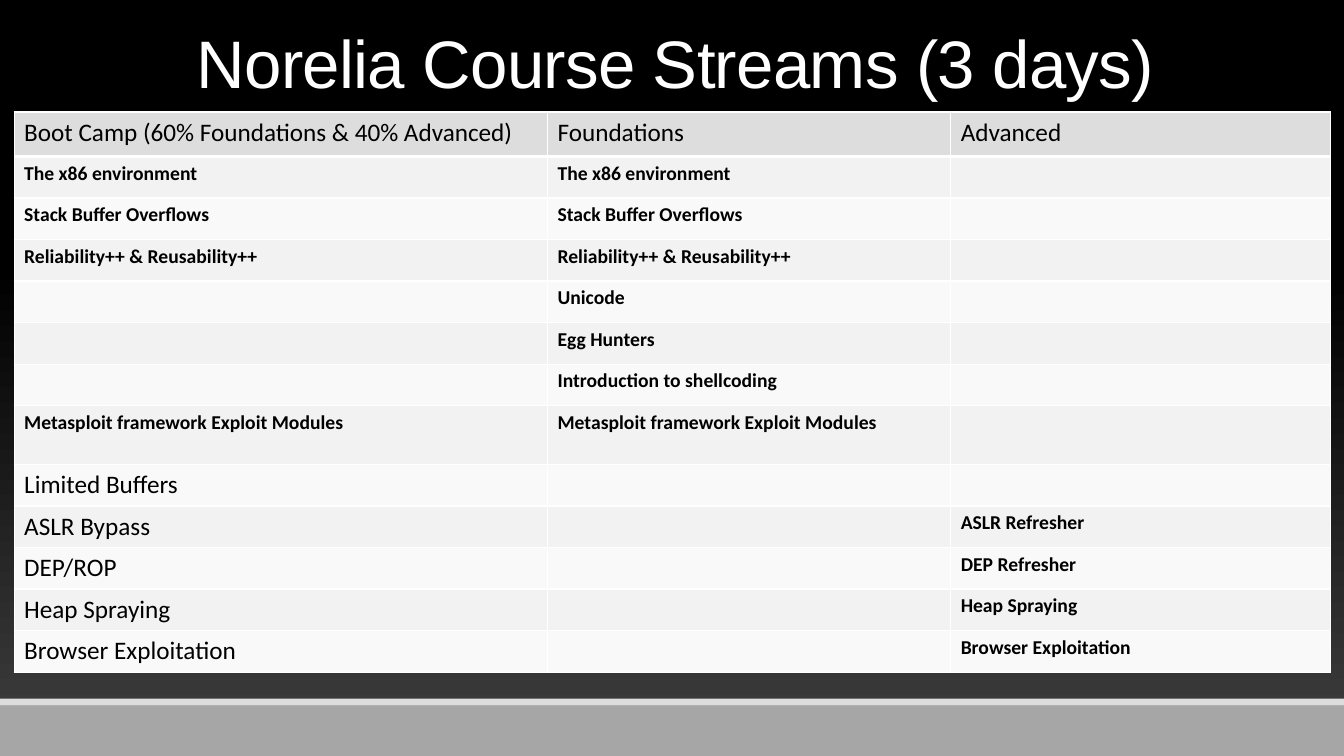
from lxml import etree
from pptx import Presentation
from pptx import util as u
from pptx.dml import color
from pptx.enum import shapes, text
from pptx.oxml import ns

COLORS = {
    "black": "000000",
    "dark": "3F3F3F",
    "footer": "A6A6A6",
    "header": "DDDDDD",
    "odd": "F2F2F2",
    "even": "F9F9F9",
    "white": "FFFFFF",
}


def rgb(name):
    return color.RGBColor.from_string(COLORS[name])


def add_border(cell, side, width):
    line = etree.Element(ns.qn(f"a:ln{side}"), w=str(u.Pt(width)))
    fill = etree.SubElement(line, ns.qn("a:solidFill"))
    etree.SubElement(fill, ns.qn("a:srgbClr"), val=COLORS["white"])
    cell._tc.get_or_add_tcPr().insert("LRTB".index(side), line)


presentation = Presentation()
presentation.slide_width = u.Pt(960)
presentation.slide_height = u.Pt(540)
slide = presentation.slides.add_slide(presentation.slide_layouts[6])

background = slide.background.fill
background.gradient()
background.gradient_angle = 90
for stop, name, position in zip(background.gradient_stops, ("dark", "black"), (0, 0.65)):
    stop.color.rgb = rgb(name)
    stop.position = position

for top, height, name in ((504, 36, "footer"), (499, 5, "header")):
    band = slide.shapes.add_shape(
        shapes.MSO_SHAPE.RECTANGLE, u.Pt(0), u.Pt(top), u.Pt(960), u.Pt(height))
    band.shadow.inherit = False
    band.fill.solid()
    band.fill.fore_color.rgb = rgb(name)
    band.line.fill.background()

title = slide.shapes.add_textbox(u.Pt(86.4), u.Pt(18.7), u.Pt(792), u.Pt(57.6))
title.text_frame.word_wrap = True
title.text_frame.vertical_anchor = text.MSO_ANCHOR.BOTTOM
paragraph = title.text_frame.paragraphs[0]
paragraph.alignment = text.PP_ALIGN.CENTER
paragraph.line_spacing = 0.85
run = paragraph.add_run()
run.text = "Norelia Course Streams (3 days)"
run.font.name = "Arial"
run.font.size = u.Pt(48)
run.font.color.rgb = rgb("white")
run.font._element.set("spc", "-50")

courses = [
    ("Boot Camp (60% Foundations & 40% Advanced)", "Foundations", "Advanced"),
    ("The x86 environment", "The x86 environment", ""),
    ("Stack Buffer Overflows", "Stack Buffer Overflows", ""),
    ("Reliability++ & Reusability++", "Reliability++ & Reusability++", ""),
    ("", "Unicode", ""),
    ("", "Egg Hunters", ""),
    ("", "Introduction to shellcoding", ""),
    ("Metasploit framework Exploit Modules", "Metasploit framework Exploit Modules", ""),
    ("Limited Buffers", "", ""),
    ("ASLR Bypass", "", "ASLR Refresher"),
    ("DEP/ROP", "", "DEP Refresher"),
    ("Heap Spraying", "", "Heap Spraying"),
    ("Browser Exploitation", "", "Browser Exploitation"),
]
column_widths = [381, 288, 271.5]
row_heights = [31.7] + [29.7] * 6 + [42] + [29.7] * 5

frame = slide.shapes.add_table(
    len(courses), len(column_widths), u.Pt(10.1), u.Pt(80),
    u.Pt(sum(column_widths)), u.Pt(sum(row_heights)))
table = frame.table
table.first_row = False
table.horz_banding = False
for column, width in zip(table.columns, column_widths):
    column.width = u.Pt(width)

for row_index, (row, height, labels) in enumerate(zip(table.rows, row_heights, courses)):
    row.height = u.Pt(height)
    is_header = row_index == 0
    fill_name = "header" if is_header else ("even", "odd")[row_index % 2]
    for column_index, (cell, label) in enumerate(zip(row.cells, labels)):
        cell.fill.solid()
        cell.fill.fore_color.rgb = rgb(fill_name)
        for side in "LRTB":
            thick = (row_index, side) in ((0, "B"), (1, "T"))
            add_border(cell, side, 3 if thick else 1)
        paragraph = cell.text_frame.paragraphs[0]
        paragraph.font.size = u.Pt(18)
        if label:
            is_large = is_header or (column_index == 0 and row_index >= 8)
            run = paragraph.add_run()
            run.text = label
            run.font.name = "Calibri"
            run.font.size = u.Pt(18 if is_large else 14)
            run.font.bold = not is_large
            run.font.color.rgb = rgb("black")

presentation.save("out.pptx")
